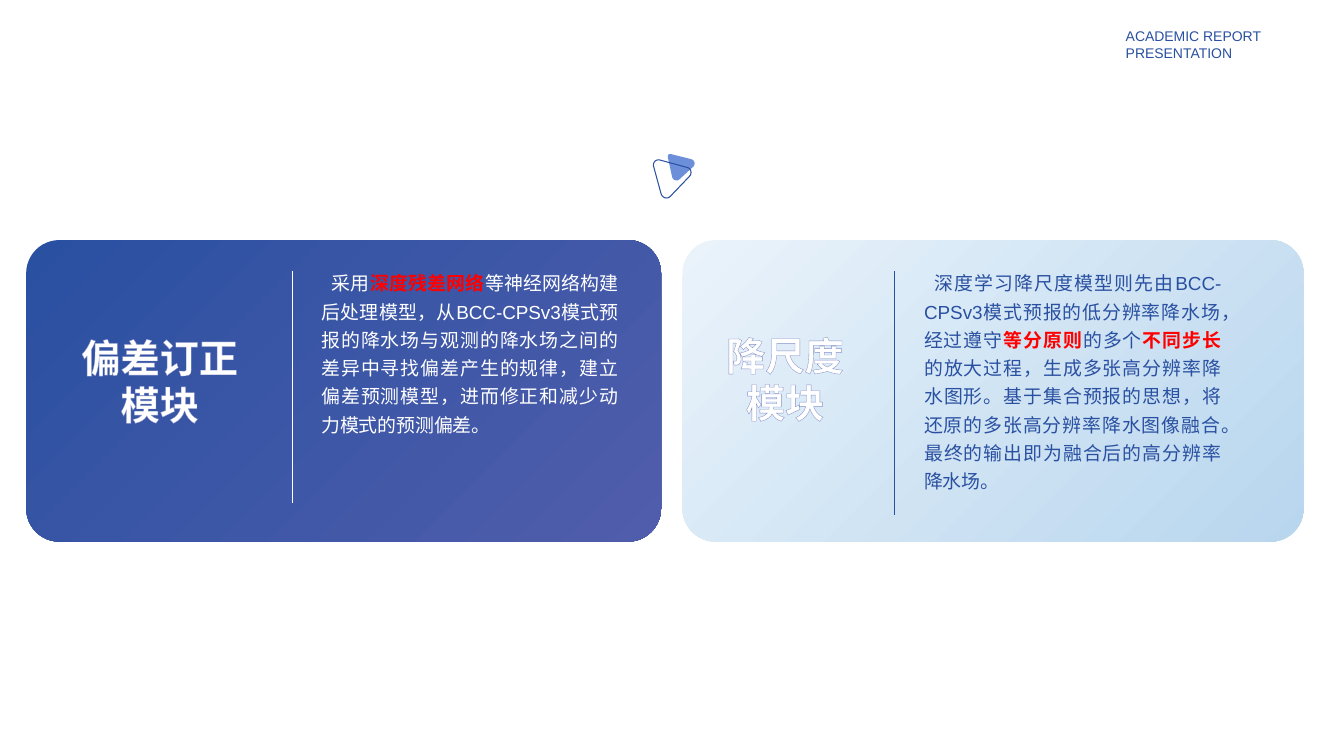
from lxml import etree
from pptx import Presentation
from pptx.dml.color import RGBColor
from pptx.enum import shapes, text
from pptx.oxml import ns
from pptx.util import Cm, Pt

NAVY = RGBColor(0x2A, 0x50, 0xA1)
VIOLET = RGBColor(0x50, 0x5D, 0xAC)
ICE = RGBColor(0xEA, 0xF3, 0xFA)
SKY = RGBColor(0xB8, 0xD6, 0xEE)
PERIWINKLE = RGBColor(0x6D, 0x8F, 0xD9)
LILAC = RGBColor(0x88, 0x91, 0xC8)
RED = RGBColor(0xFF, 0, 0)
WHITE = RGBColor(0xFF, 0xFF, 0xFF)

deck = Presentation()
deck.slide_width, deck.slide_height = Cm(33.87), Cm(19.05)
page = deck.slides.add_slide(deck.slide_layouts[6])


def add_text(place, paragraphs, size, align, inset=True, wrap=True, spacing=1.0):
    box = page.shapes.add_textbox(*[Cm(length) for length in place])
    frame = box.text_frame
    frame.word_wrap = wrap
    if not inset:
        for side in ("left", "top", "right", "bottom"):
            setattr(frame, f"margin_{side}", 0)
    for number, spans in enumerate(paragraphs):
        para = frame.paragraphs[0] if number == 0 else frame.add_paragraph()
        para.alignment, para.line_spacing = align, spacing
        for wording, colour, bold in spans:
            span = para.add_run()
            span.text = wording
            for name, value in {"size": Pt(size), "name": "Arial", "bold": bold}.items():
                setattr(span.font, name, value)
            span.font.color.rgb = colour
    return frame


add_text((28.37, 0.69, 3.45, 0.86),
         [[("ACADEMIC REPORT", NAVY, False)], [("PRESENTATION", NAVY, False)]],
         10, text.PP_ALIGN.LEFT, inset=False, wrap=False)

triangles = [
    (PERIWINKLE, None, [
        [(17.12, 4.52), (17.07, 4.57), (16.97, 4.55), (16.94, 4.47)],
        [(16.84, 4.01), (16.81, 3.91), (16.84, 3.86), (16.94, 3.89)],
        [(17.42, 4.01), (17.5, 4.04), (17.53, 4.11), (17.48, 4.19)]]),
    (None, NAVY, [
        [(16.89, 4.95), (16.81, 5.03), (16.69, 4.98), (16.66, 4.88)],
        [(16.48, 4.22), (16.43, 4.09), (16.54, 3.99), (16.66, 4.04)],
        [(17.32, 4.22), (17.42, 4.24), (17.45, 4.37), (17.37, 4.45)]]),
]
STEPS = 8
for fill, line, corners in triangles:
    points = []
    for corner in corners:
        for step in range(STEPS + 1):
            t = step / STEPS
            weights = ((1 - t) ** 3, 3 * t * (1 - t) ** 2, 3 * t * t * (1 - t), t ** 3)
            points.append(tuple(1000 * sum(w * knot[axis] for w, knot in zip(weights, corner))
                                for axis in (0, 1)))
    builder = page.shapes.build_freeform(*points[0], scale=Cm(0.001))
    builder.add_line_segments(points[1:], close=True)
    triangle = builder.convert_to_shape()
    triangle.shadow.inherit = False
    if fill:
        triangle.fill.solid()
        triangle.fill.fore_color.rgb = fill
        triangle.line.fill.background()
    else:
        triangle.fill.background()
        triangle.line.color.rgb = line
        triangle.line.width = Pt(0.75)

cards = [
    {"left": 0.66, "width": 16, "shades": (NAVY, VIOLET), "ink": WHITE,
     "rule": (7.37, 12.67), "heading": (1.37, 8.28, 5.31, 2.64),
     "title": ("偏差订正", "模块"), "body": (8.1, 6.71, 7.49, 4.22),
     "spans": [("采用", False), ("深度残差网络", True),
               ("等神经网络构建后处理模型，从BCC-CPSv3模式预报的降水场与观测的降水场之间的差异中"
                "寻找偏差产生的规律，建立偏差预测模型，进而修正和减少动力模式的预测偏差。", False)]},
    {"left": 17.2, "width": 15.65, "shades": (ICE, SKY), "ink": NAVY,
     "rule": (22.53, 12.98), "heading": (17.5, 8.23, 4.57, 2.64),
     "title": ("降尺度", "模块"), "body": (23.29, 6.71, 7.49, 5.66),
     "spans": [("深度学习降尺度模型则先由BCC-CPSv3模式预报的低分辨率降水场，经过遵守", False),
               ("等分原则", True), ("的多个", False), ("不同步长", True),
               ("的放大过程，生成多张高分辨率降水图形。基于集合预报的思想，将还原的多张高分辨率"
                "降水图像融合。最终的输出即为融合后的高分辨率降水场。", False)]},
]
for card in cards:
    panel = page.shapes.add_shape(shapes.MSO_SHAPE.ROUNDED_RECTANGLE, Cm(card["left"]),
                                  Cm(6.05), Cm(card["width"]), Cm(7.6))
    panel.adjustments[0] = 0.11
    panel.shadow.inherit = False
    panel.line.fill.background()
    panel.fill.gradient()
    panel.fill.gradient_angle = 315
    for stop, shade, position in zip(panel.fill.gradient_stops, card["shades"], (0, 1)):
        stop.color.rgb = shade
        stop.position = position

    x, bottom = card["rule"]
    rule = page.shapes.add_connector(shapes.MSO_CONNECTOR.STRAIGHT,
                                     Cm(x), Cm(6.83), Cm(x), Cm(bottom))
    rule.line.color.rgb = card["ink"]
    rule.line.width = Pt(0.5)
    etree.SubElement(rule._element.spPr, ns.qn("a:effectLst"))

    spans = [(wording, RED if key else card["ink"], key) for wording, key in card["spans"]]
    body = add_text(card["body"], [spans], 13.5, text.PP_ALIGN.JUSTIFY,
                    inset=False, spacing=1.25)
    body.paragraphs[0]._p.get_or_add_pPr().set("indent", str(Cm(0.26)))

    heading = add_text(card["heading"], [[(row, WHITE, True)] for row in card["title"]],
                       28, text.PP_ALIGN.CENTER)
    for para in heading.paragraphs:
        outline = etree.Element(ns.qn("a:ln"), w=str(Pt(0.52)))
        solid = etree.SubElement(outline, ns.qn("a:solidFill"))
        etree.SubElement(solid, ns.qn("a:srgbClr"), val=str(LILAC))
        para.runs[0].font._element.insert(0, outline)

deck.save("out.pptx")
